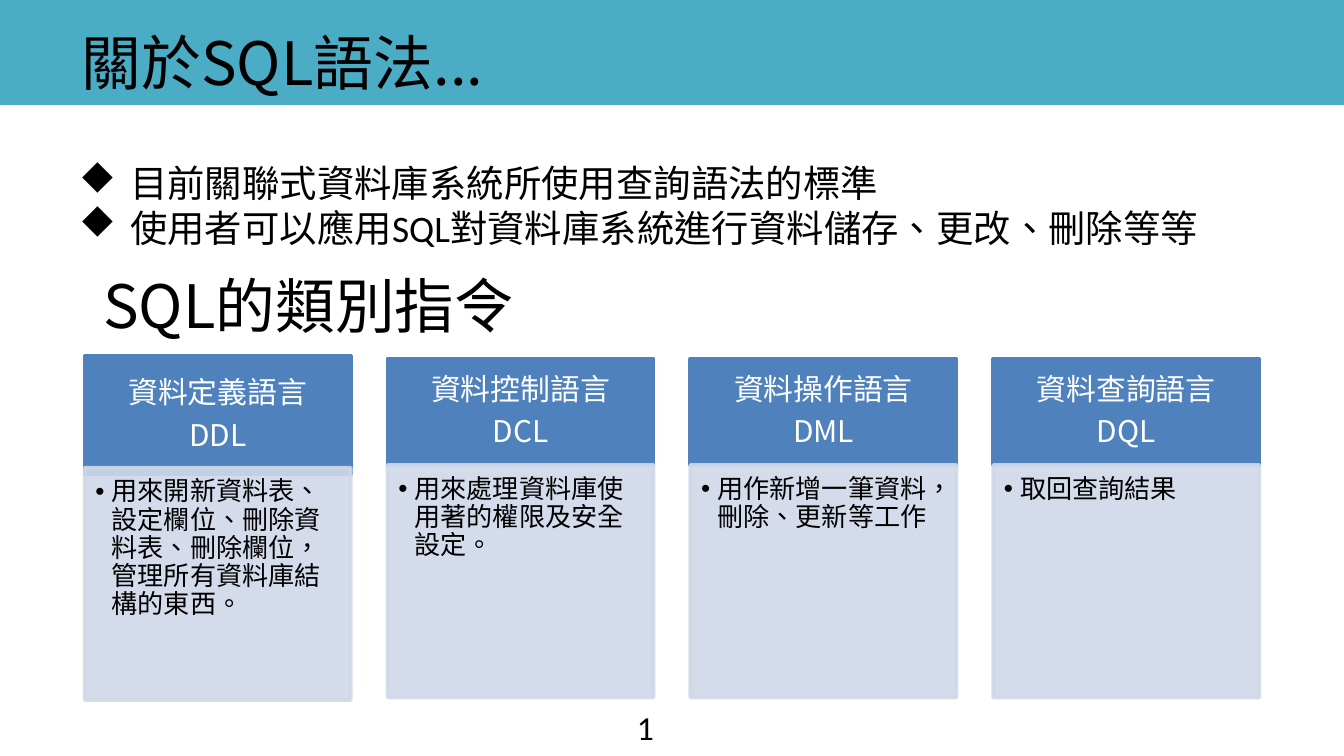
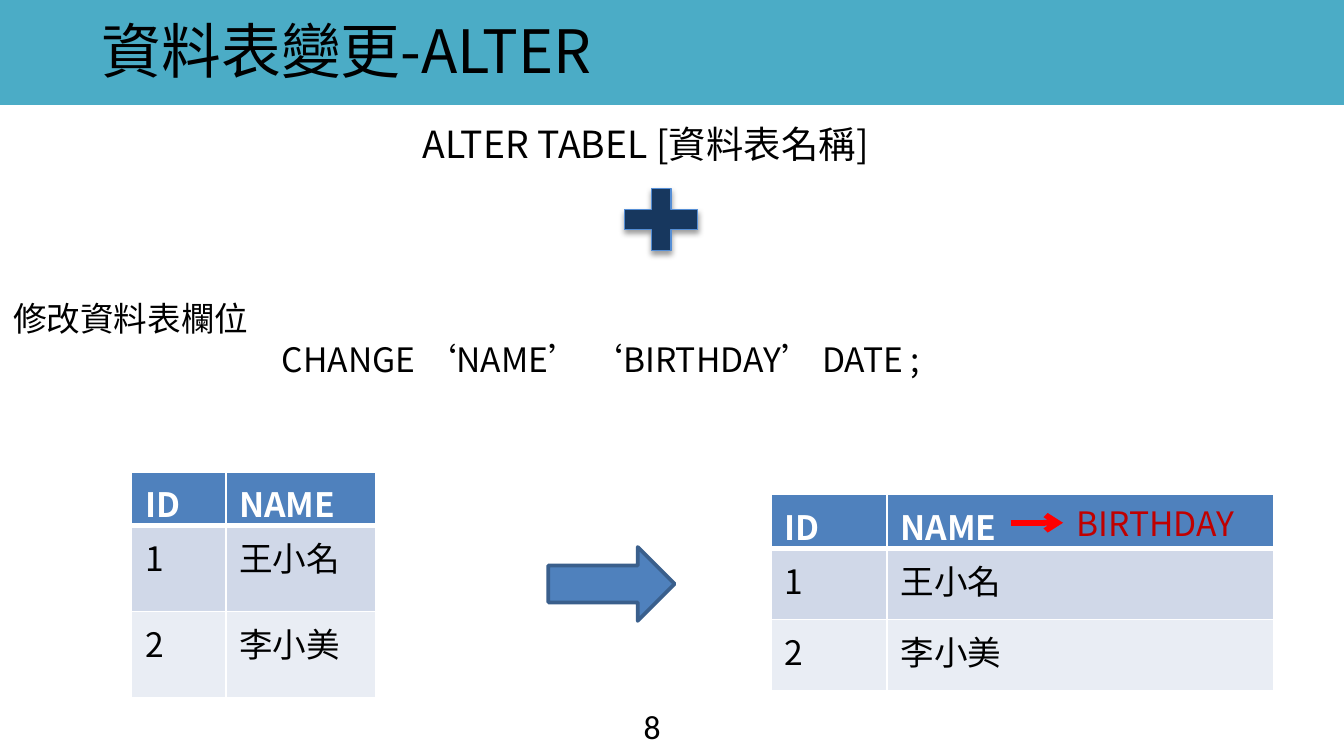
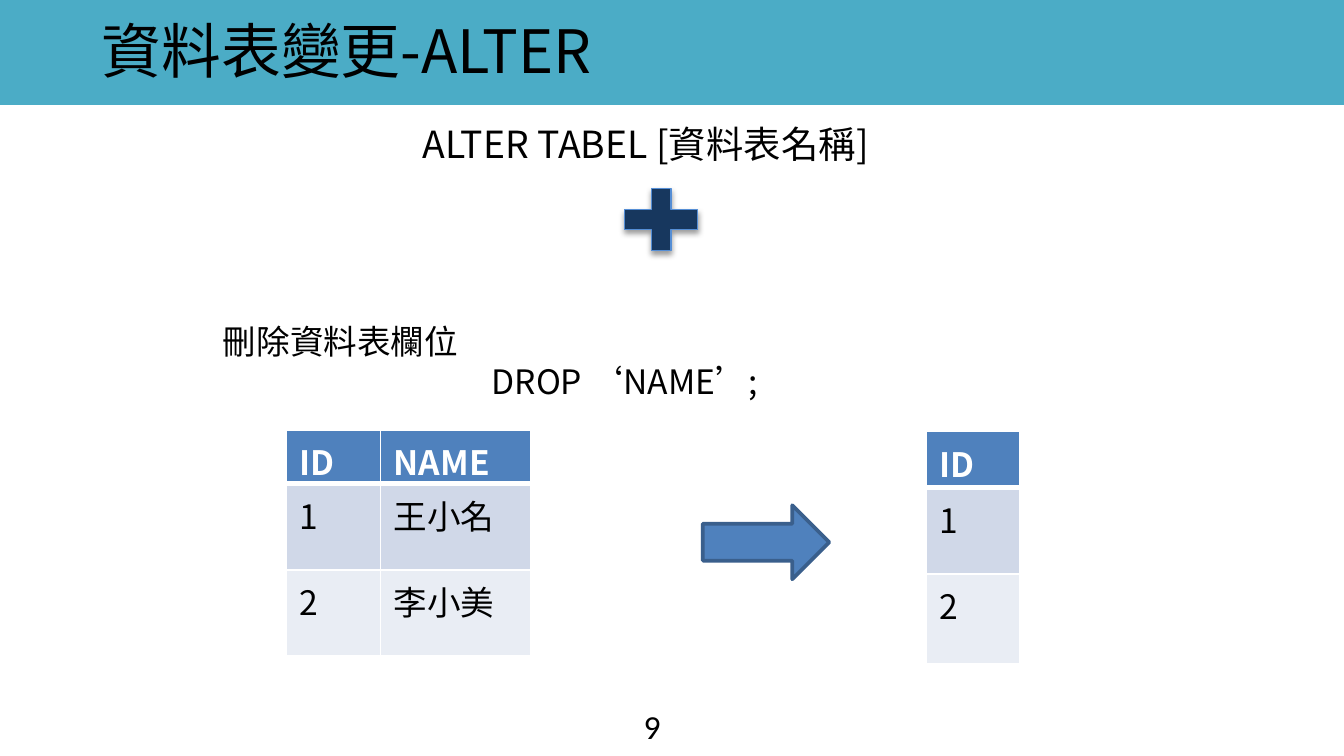
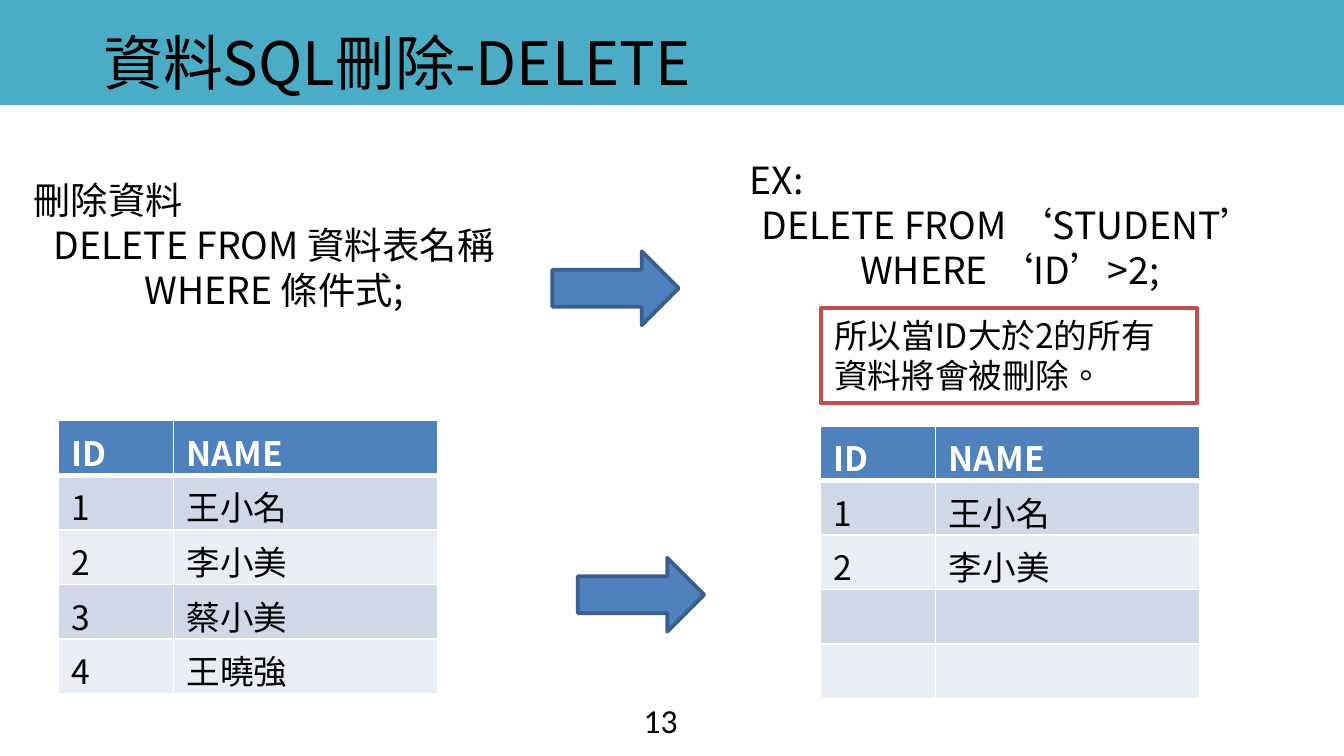
"""Builds four lecture slides about SQL commands and saves them as out.pptx."""
from dataclasses import dataclass, replace
from typing import Optional, Sequence

from lxml.etree import SubElement
from pptx import Presentation
from pptx.dml.color import RGBColor
from pptx.enum.shapes import MSO_CONNECTOR, MSO_SHAPE
from pptx.enum.text import MSO_ANCHOR, MSO_AUTO_SIZE, PP_ALIGN
from pptx.oxml.ns import qn
from pptx.util import Inches, Pt

NOTO = "Noto Sans CJK SC"
CALIBRI = "Calibri"
BLACK, WHITE = "000000", "FFFFFF"
BAND, BLUE, BLUE_EDGE = "4BACC6", "4F81BD", "3A5F8C"
PALE, PALER = "D0D8E8", "E9EDF4"
NAVY, SKY = "17375E", "558ED5"
BRICK, DARK_RED, RED = "C0504D", "C00000", "FF0000"

Box = tuple[float, float, float, float]
LEFT, CENTER = PP_ALIGN.LEFT, PP_ALIGN.CENTER


@dataclass(frozen=True)
class Style:
    size: float = 18
    font: str = NOTO
    color: str = BLACK
    bold: bool = False
    line_spacing: Optional[float] = None
    space_after: Optional[float] = None
    bullet: str = ""
    bullet_font: str = "Arial"
    indent: float = 0


@dataclass(frozen=True)
class Card:
    language: str
    code: str
    purpose: str
    top: float = 2.67
    head_height: float = 0.79
    body_top: float = 3.46


@dataclass(frozen=True)
class Grid:
    left: float
    top: float
    columns: Sequence[float]
    heights: Sequence[float]
    rows: Sequence[Sequence[str]]


BODY = Style()
LARGE = Style(size=20)
TITLE = Style(size=32)
NUMBER = Style(font=CALIBRI)
DIAMOND = Style(size=20, font=CALIBRI, bullet="u", bullet_font="Wingdings", indent=0.38)
CARD_HEAD = Style(size=16, color=WHITE, line_spacing=0.9, space_after=5.6)
CARD_BODY = Style(size=14, line_spacing=0.9, space_after=2.1, bullet="•", indent=0.12)
TABLE_HEAD = Style(color=WHITE, bold=True)

HEADER = ("ID ", "NAME")
STUDENTS = (HEADER, ("1", "王小名"), ("2", "李小美"))
ALL_STUDENTS = STUDENTS + (("3", "蔡小美"), ("4", "王曉強"))
KEPT_STUDENTS = STUDENTS + (("", ""),) * 2
NARROW, NARROW_HEIGHTS = (0.7, 1.12), (0.36, 0.64, 0.64)
WIDE, WIDE_HEIGHTS = (0.86, 1.97), (2.03 / 5,) * 5

CARDS = (
    Card("資料定義語言", "DDL", "用來開新資料表、設定欄位、刪除資料表、刪除欄位，管理所有資料庫結構的東西。",
         2.65, 0.88, 3.48),
    Card("資料控制語言", "DCL", "用來處理資料庫使用著的權限及安全設定。"),
    Card("資料操作語言", "DML", "用作新增一筆資料，刪除、更新等工作"),
    Card("資料查詢語言", "DQL", "取回查詢結果"),
)


def rgb(code: str) -> RGBColor:
    return RGBColor.from_string(code)


def inches(values: Sequence[float]) -> list:
    return [Inches(value) for value in values]


def style_paragraph(paragraph, style: Style, alignment=LEFT) -> None:
    paragraph.alignment = alignment
    if style.line_spacing:
        paragraph.line_spacing = style.line_spacing
    if style.space_after:
        paragraph.space_after = Pt(style.space_after)
    properties = paragraph._p.get_or_add_pPr()
    properties.set("defTabSz", str(Inches(1)))
    if style.bullet:
        properties.set("marL", str(Inches(style.indent)))
        properties.set("indent", str(-Inches(style.indent)))
        SubElement(properties, qn("a:buFont"), typeface=style.bullet_font)
        SubElement(properties, qn("a:buChar"), char=style.bullet)
    for run in paragraph.runs:
        font = run.font
        font.size, font.bold, font.name = Pt(style.size), style.bold, style.font
        font.color.rgb = rgb(style.color)
        run_properties = run._r.get_or_add_rPr()
        run_properties.set("lang", "zh-TW")
        SubElement(run_properties, qn("a:ea"), typeface=style.font)


def write(frame, lines: Sequence[str], style: Style, alignments: Sequence = ()) -> None:
    frame.text = "\n".join(lines)
    for index, paragraph in enumerate(frame.paragraphs):
        alignment = alignments[index] if alignments else LEFT
        style_paragraph(paragraph, style, alignment)


def set_insets(frame, left: float, top: float, right: float, bottom: float) -> None:
    frame.margin_left, frame.margin_top = Inches(left), Inches(top)
    frame.margin_right, frame.margin_bottom = Inches(right), Inches(bottom)


def add_text(slide, box: Box, lines: Sequence[str], style: Style = BODY,
             alignments: Sequence = (), wrap: bool = True):
    shape = slide.shapes.add_textbox(*inches(box))
    shape.text_frame.word_wrap = wrap
    write(shape.text_frame, lines, style, alignments)
    return shape


def add_shape(slide, kind, box: Box, fill: str, line: str = "", width: float = 2):
    shape = slide.shapes.add_shape(kind, *inches(box))
    shape.shadow.inherit = False
    shape.fill.solid()
    shape.fill.fore_color.rgb = rgb(fill)
    if line:
        shape.line.color.rgb = rgb(line)
        shape.line.width = Pt(width)
    else:
        shape.line.fill.background()
    return shape


def add_slide(presentation, title: str, title_box: Box, number: str, number_box: Box):
    slide = presentation.slides.add_slide(presentation.slide_layouts[6])
    add_shape(slide, MSO_SHAPE.RECTANGLE, (0, 0, 10, 0.78), BAND)
    add_text(slide, title_box, [title], TITLE)
    add_text(slide, number_box, [number], NUMBER)
    return slide


def add_card(slide, card: Card, left: float) -> None:
    width = 1.98
    head = add_shape(slide, MSO_SHAPE.RECTANGLE,
                     (left, card.top, width, card.head_height), BLUE, BLUE)
    head.text_frame.word_wrap = True
    head.text_frame.vertical_anchor = MSO_ANCHOR.MIDDLE
    set_insets(head.text_frame, 0.12, 0.07, 0.12, 0.07)
    write(head.text_frame, [card.language, card.code], CARD_HEAD, (CENTER, CENTER))

    body = add_shape(slide, MSO_SHAPE.RECTANGLE,
                     (left, card.body_top, width, 1.73), PALE, PALE)
    for color in list(body._element.spPr.iter(qn("a:srgbClr"))):
        SubElement(color, qn("a:alpha"), val="90000")
    body.text_frame.word_wrap = True
    body.text_frame.vertical_anchor = MSO_ANCHOR.TOP
    set_insets(body.text_frame, 0.08, 0.08, 0.11, 0.12)
    write(body.text_frame, [card.purpose], CARD_BODY)


def add_header_borders(cell) -> None:
    properties = cell._tc.get_or_add_tcPr()
    for side, width in (("L", 1), ("R", 1), ("T", 1), ("B", 3)):
        line = SubElement(properties, qn(f"a:ln{side}"), w=str(Pt(width)))
        fill = SubElement(line, qn("a:solidFill"))
        SubElement(fill, qn("a:srgbClr"), val=WHITE)


def add_grid(slide, grid: Grid) -> None:
    box = (grid.left, grid.top, sum(grid.columns), sum(grid.heights))
    table = slide.shapes.add_table(len(grid.rows), len(grid.columns), *inches(box)).table
    for column, width in zip(table.columns, grid.columns):
        column.width = Inches(width)
    for index, (row, height, texts) in enumerate(zip(table.rows, grid.heights, grid.rows)):
        row.height = Inches(height)
        fill = BLUE if index == 0 else (PALER, PALE)[index % 2]
        for cell, text in zip(row.cells, texts):
            if index == 0:
                add_header_borders(cell)
            cell.fill.solid()
            cell.fill.fore_color.rgb = rgb(fill)
            if text:
                write(cell.text_frame, [text], BODY if index else TABLE_HEAD)


def add_block_arrow(slide, left: float, top: float) -> None:
    add_shape(slide, MSO_SHAPE.RIGHT_ARROW, (left, top, 0.94, 0.55), BLUE, BLUE_EDGE)


def add_thin_arrow(slide, left: float, right: float, y: float) -> None:
    connector = slide.shapes.add_connector(
        MSO_CONNECTOR.STRAIGHT, *inches((left, y, right, y)))
    connector.line.color.rgb = rgb(RED)
    connector.line.width = Pt(3)
    SubElement(connector.line._get_or_add_ln(), qn("a:tailEnd"), type="arrow")
    SubElement(connector._element.spPr, qn("a:effectLst"))


def add_plus(slide) -> None:
    plus = add_shape(slide, MSO_SHAPE.MATH_PLUS, (4.55, 1.32, 0.74, 0.63), NAVY, SKY, 0.75)
    effects = plus._element.spPr.find(qn("a:effectLst"))
    shadow = SubElement(effects, qn("a:outerShdw"), blurRad=str(Pt(3.1)),
                        dist=str(Pt(1.6)), dir="5400000", rotWithShape="0")
    color = SubElement(shadow, qn("a:srgbClr"), val=BLACK)
    SubElement(color, qn("a:alpha"), val="38000")


def add_alter_slide(presentation, number: str, command_box: Box, command: Sequence[str]):
    slide = add_slide(presentation, "資料表變更-ALTER", (0.66, 0.05, 4.53, 0.64),
                      number, (4.69, 5.2, 0.24, 0.4))
    add_text(slide, command_box, command)
    add_text(slide, (0.83, 0.85, 7.95, 0.44), ["ALTER TABEL [資料表名稱]"], LARGE, (CENTER,))
    add_plus(slide)
    return slide


def build_overview(presentation) -> None:
    slide = add_slide(presentation, "關於SQL語法...", (0.51, 0.14, 4.92, 0.64),
                      "1", (4.64, 5.21, 0.24, 0.4))
    add_text(slide, (0.49, 1.14, 8.99, 0.79),
             ["目前關聯式資料庫系統所使用查詢語法的標準",
              "使用者可以應用SQL對資料庫系統進行資料儲存、更改、刪除等等"], DIAMOND)
    first, last = 0.63, 7.39
    step = (last - first) / (len(CARDS) - 1)
    for index, card in enumerate(CARDS):
        add_card(slide, card, first + step * index)
    add_text(slide, (0.67, 1.95, 3.38, 0.64), ["SQL的類別指令"], TITLE)


def build_change_column(presentation) -> None:
    slide = add_alter_slide(presentation, "8", (0, 2.17, 9.76, 0.88),
                            ["修改資料表欄位", "\t\tCHANGE ‘NAME’ ‘BIRTHDAY’ DATE ;"])
    add_grid(slide, Grid(0.98, 3.51, NARROW, NARROW_HEIGHTS, STUDENTS))
    add_grid(slide, Grid(5.74, 3.68, (0.86, 2.88), (0.39, 0.53, 0.53), STUDENTS))
    add_block_arrow(slide, 4.08, 4.07)
    add_text(slide, (7.91, 3.69, 1.41, 0.4), ["BIRTHDAY"],
             replace(BODY, color=DARK_RED), wrap=False)
    add_thin_arrow(slide, 7.52, 7.91, 3.89)


def build_drop_column(presentation) -> None:
    slide = add_alter_slide(presentation, "9", (1.56, 2.34, 6.73, 1.03),
                            ["刪除資料表欄位", "\t\tDROP ‘NAME’;"])
    add_grid(slide, Grid(2.13, 3.2, NARROW, NARROW_HEIGHTS, STUDENTS))
    add_grid(slide, Grid(6.89, 3.21, NARROW[:1], (0.42, 0.64, 0.67),
                         [row[:1] for row in STUDENTS]))
    add_block_arrow(slide, 5.23, 3.76)


def build_delete(presentation) -> None:
    slide = add_slide(presentation, "資料SQL刪除-DELETE", (0.67, 0.14, 4.92, 0.64),
                      "13", (4.69, 5.16, 0.63, 0.4))
    alignments = (LEFT, CENTER, CENTER)
    add_text(slide, (0.15, 1.27, 3.78, 1.35),
             ["刪除資料", "DELETE FROM 資料表名稱", "WHERE 條件式;"], LARGE, alignments)
    add_text(slide, (5.48, 1.12, 4.07, 1.65),
             ["EX:", "DELETE FROM ‘STUDENT’", "WHERE ‘ID’>2;"], LARGE, alignments)
    note = add_shape(slide, MSO_SHAPE.RECTANGLE, (6.11, 2.29, 2.8, 0.71), WHITE, BRICK)
    note.text_frame.word_wrap = True
    note.text_frame.vertical_anchor = MSO_ANCHOR.TOP
    note.text_frame.auto_size = MSO_AUTO_SIZE.SHAPE_TO_FIT_TEXT
    write(note.text_frame, ["所以當ID大於2的所有資料將會被刪除。"], BODY)
    add_grid(slide, Grid(0.43, 3.13, WIDE, WIDE_HEIGHTS, ALL_STUDENTS))
    add_grid(slide, Grid(6.1, 3.17, WIDE, WIDE_HEIGHTS, KEPT_STUDENTS))
    add_block_arrow(slide, 4.11, 1.87)
    add_block_arrow(slide, 4.3, 4.15)


def main() -> None:
    presentation = Presentation()
    presentation.slide_width = Inches(10)
    presentation.slide_height = Inches(10 * 9 / 16)
    for build in (build_overview, build_change_column, build_drop_column, build_delete):
        build(presentation)
    presentation.save("out.pptx")


main()
